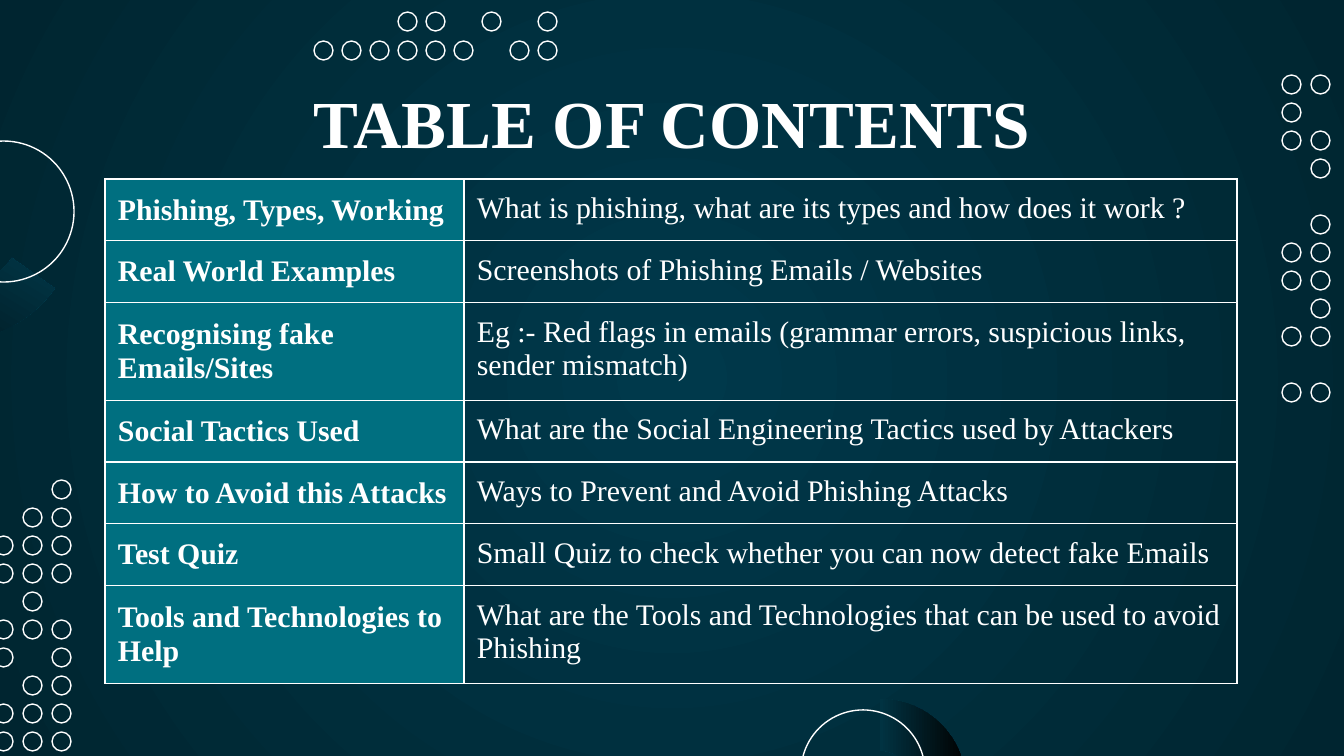
import pptx
import pptx.util
import pptx.dml.color
import pptx.enum.shapes
import pptx.enum.text
import pptx.oxml.ns
import lxml.etree

PX = 914400 / 134.4
FONT = "Times New Roman"
WHITE, TEAL = "FFFFFF", "006F80"
GLOW, DEEP = "00394B", "002530"
BLUE, BLACK = "006685", "010101"
PAD = 13
DOT = 19

TITLE = "TABLE OF CONTENTS"
TOPICS = [
    ("Phishing, Types, Working",
     "What is phishing, what are its types and how does it work ?"),
    ("Real World Examples", "Screenshots of Phishing Emails / Websites"),
    ("Recognising fake Emails/Sites",
     "Eg :- Red flags in emails (grammar errors, suspicious links, sender mismatch)"),
    ("Social Tactics Used",
     "What are the Social Engineering Tactics used by Attackers"),
    ("How to Avoid this Attacks", "Ways to Prevent and Avoid Phishing Attacks"),
    ("Test Quiz", "Small Quiz to check whether you can now detect fake Emails"),
    ("Tools and Technologies to Help",
     "What are the Tools and Technologies that can be used to avoid Phishing"),
]
COLS = (359, 773)
ROW = 51

# left, top, column step, row step, pattern
RIGHT = (1282, 75, 29, 28, ["oo", "o.", "oo", ".o", "..", ".o",
                            "oo", "oo", ".o", "oo", "..", "oo"])
LEFT = (-6, 480, 29, 28, ["..o", ".oo", "ooo", "ooo", ".o.",
                          "ooo", "o.o", ".oo", "ooo", "ooo"])
TOP = (314, 12, 28, 29, ["...oo.o.o", "oooooo.oo"])

# arc left, top, size, turn, (start, end, thickness), then ring left, top, size
RINGS = [
    (-172, 91, 250, 30.9, (59.58, 175.5, 0.21), (-67, 141, 141)),
    (794, 699, 172, 270, (42.06, 179.87, 0.3), (801, 710, 124)),
]

SHAPE = pptx.enum.shapes.MSO_SHAPE
ANCHOR = pptx.enum.text.MSO_ANCHOR


def px(*nums):
    return [pptx.util.Emu(round(n * PX)) for n in nums]


def rgb(code):
    return pptx.dml.color.RGBColor.from_string(code)


def shade(fill, *codes):
    fill.gradient()
    for stop, code in zip(fill.gradient_stops, codes):
        stop.color.rgb = rgb(code)


def circle(shapes, left, top, size):
    ring = shapes.add_shape(SHAPE.OVAL, *px(left, top, size, size))
    ring.shadow.inherit = False
    ring.fill.background()
    ring.line.color.rgb = rgb(WHITE)
    ring.line.width = pptx.util.Pt(0.75)


def dots(slide, left, top, across, down, rows):
    group = slide.shapes.add_group_shape()
    for r, row in enumerate(rows):
        for c, mark in enumerate(row):
            if mark == "o":
                circle(group.shapes, left + c * across, top + r * down, DOT)


def arc(slide, left, top, size, turn, bend):
    band = slide.shapes.add_shape(SHAPE.BLOCK_ARC, *px(left, top, size, size))
    band.shadow.inherit = False
    band.line.fill.background()
    shade(band.fill, BLUE, BLACK)
    band.fill.gradient_angle = 270
    start, end, thick = bend
    # Angles are stored in 60000ths of a degree, adjustments in 100000ths
    for i, value in enumerate((start * 0.6, end * 0.6, thick)):
        band.adjustments[i] = value
    band.rotation = turn
    band.element.spPr.xfrm.set("flipH", "1")


def write(frame, text, size, bold):
    frame.word_wrap = True
    run = frame.paragraphs[0].add_run()
    run.text = text
    run.font.name = FONT
    run.font.size = pptx.util.Pt(size)
    run.font.bold = bold
    run.font.color.rgb = rgb(WHITE)


def inset(box):
    box.margin_left, box.margin_top, box.margin_right, box.margin_bottom = px(*[PAD] * 4)


def child(parent, tag, **attrs):
    return lxml.etree.SubElement(parent, pptx.oxml.ns.qn(tag), **attrs)


def border(cell):
    props = cell._tc.get_or_add_tcPr()
    for side in "LRTB":
        line = child(props, "a:ln" + side, w=str(pptx.util.Pt(0.75)))
        child(child(line, "a:solidFill"), "a:srgbClr", val=WHITE)


def backdrop(slide):
    """Fill the background with a gradient that spreads from the centre."""
    fill = slide.background.fill
    shade(fill, GLOW, DEEP)
    grad = slide.element.find(".//" + pptx.oxml.ns.qn("a:gradFill"))
    grad.remove(grad.find(pptx.oxml.ns.qn("a:lin")))
    spread = child(grad, "a:path", path="circle")
    child(spread, "a:fillToRect", l="50000", t="50000", r="50000", b="50000")


def heading(slide):
    box = slide.shapes.add_textbox(*px(105, 66, 1134, 109))
    frame = box.text_frame
    inset(frame)
    frame.vertical_anchor = ANCHOR.BOTTOM
    write(frame, TITLE, 36, True)
    frame.paragraphs[0].alignment = pptx.enum.text.PP_ALIGN.CENTER


def contents(slide):
    table = slide.shapes.add_table(
        len(TOPICS), len(COLS), *px(105, 179, sum(COLS), ROW * len(TOPICS))).table
    table.first_row = table.horz_banding = False
    for col, width in zip(table.columns, px(*COLS)):
        col.width = width
    for r, topic in enumerate(TOPICS):
        for c, text in enumerate(topic):
            cell = table.cell(r, c)
            inset(cell)
            border(cell)
            write(cell.text_frame, text, 16, c == 0)
            if c == 0:
                cell.vertical_anchor = ANCHOR.MIDDLE
                cell.fill.solid()
                cell.fill.fore_color.rgb = rgb(TEAL)
            else:
                cell.vertical_anchor = ANCHOR.TOP
                cell.fill.background()


def main():
    deck = pptx.Presentation()
    deck.slide_width, deck.slide_height = px(1344, 756)
    slide = deck.slides.add_slide(deck.slide_layouts[6])
    backdrop(slide)
    dots(slide, *RIGHT)
    dots(slide, *LEFT)
    for *band, ring in RINGS:
        arc(slide, *band)
        circle(slide.shapes, *ring)
    heading(slide)
    contents(slide)
    dots(slide, *TOP)
    deck.save("out.pptx")


if __name__ == "__main__":
    main()
